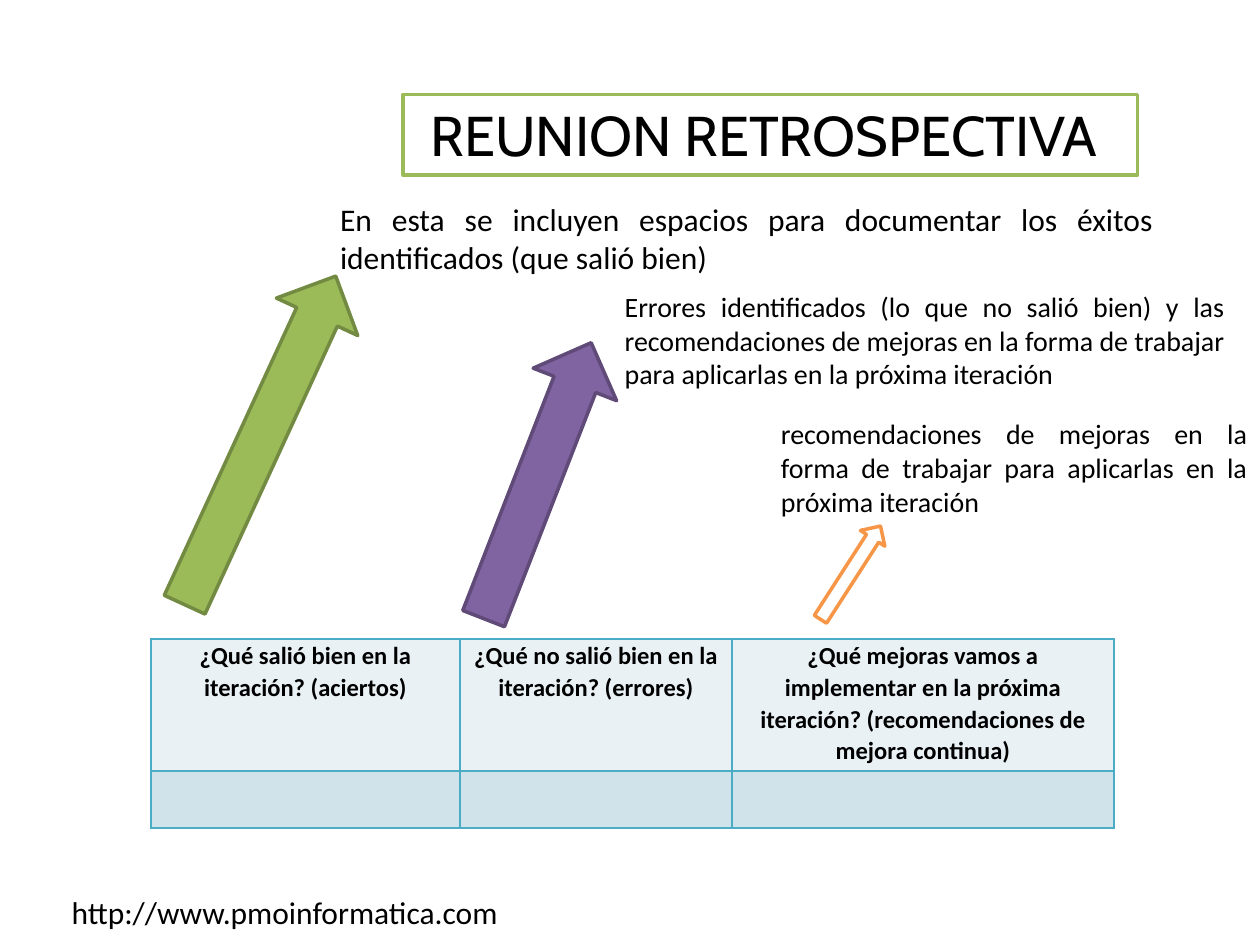
"""Builds the slide on the retrospective meeting."""
import pptx
import pptx.util
import pptx.dml.color
import pptx.enum.shapes
import pptx.enum.text
import pptx.oxml

RGB = pptx.dml.color.RGBColor
BLACK = RGB(0, 0, 0)
WHITE = RGB(255, 255, 255)
GREEN = RGB(0x9B, 0xBB, 0x59)
MOSS = RGB(0x73, 0x8A, 0x42)
PURPLE = RGB(0x80, 0x64, 0xA2)
PLUM = RGB(0x5F, 0x4A, 0x78)
ORANGE = RGB(0xF7, 0x96, 0x46)
TEAL = RGB(0x4B, 0xAC, 0xC6)
PALE = RGB(0xE9, 0xF1, 0xF5)
MIST = RGB(0xD0, 0xE3, 0xEA)
ALIGN = pptx.enum.text.PP_ALIGN
ANCHOR = pptx.enum.text.MSO_ANCHOR
Pt = pptx.util.Pt

deck = pptx.Presentation()
deck.slide_width = pptx.util.Inches(10)
deck.slide_height = pptx.util.Inches(7.5)
slide = deck.slides.add_slide(deck.slide_layouts[5])
shapes = slide.shapes


def area(left, top, width, height):
    """Turn percentages of the slide into lengths."""
    wide, high = deck.slide_width / 100, deck.slide_height / 100
    return int(left * wide), int(top * high), int(width * wide), int(height * high)


def write(frame, text, size=18, face="Calibri", bold=False, align=ALIGN.LEFT, lines=1.0):
    """Fill a text frame with one formatted paragraph."""
    frame.word_wrap = True
    frame.vertical_anchor = ANCHOR.TOP
    para = frame.paragraphs[0]
    para.alignment = align
    para.line_spacing = lines
    run = para.add_run()
    run.text = text
    run.font.size = Pt(size)
    run.font.name = face
    run.font.bold = bold
    run.font.color.rgb = BLACK


title = shapes.title
title.left, title.top, title.width, title.height = area(32, 10, 58.3, 8.53)
title.fill.solid()
title.fill.fore_color.rgb = WHITE
title.line.color.rgb = GREEN
title.line.width = Pt(2)
title.text_frame.auto_size = pptx.enum.text.MSO_AUTO_SIZE.NONE
write(title.text_frame, "REUNION RETROSPECTIVA ", size=32, face="Cabin", align=ALIGN.CENTER)

heads = [
    "¿Qué salió bien en la iteración? (aciertos)",
    "¿Qué no salió bien en la iteración? (errores)",
    "¿Qué mejoras vamos a implementar en la próxima iteración? (recomendaciones de mejora continua)",
]
table = shapes.add_table(2, 3, *area(12, 67.6, 76.4, 20)).table
for col, width in zip(table.columns, (2.45, 2.16, 3.03)):
    col.width = pptx.util.Inches(width)
for row, height, fill in zip(table.rows, (1.05, 0.45), (PALE, MIST)):
    row.height = pptx.util.Inches(height)
    for cell in row.cells:
        props = cell._tc.get_or_add_tcPr()
        for side in "LRTB":
            props.append(pptx.oxml.parse_xml(
                f'<a:ln{side} xmlns:a="http://schemas.openxmlformats.org/drawingml/2006/main" '
                f'w="{Pt(1)}"><a:solidFill><a:srgbClr val="{TEAL}"/></a:solidFill></a:ln{side}>'))
        cell.fill.solid()
        cell.fill.fore_color.rgb = fill
        cell.margin_left = cell.margin_right = pptx.util.Inches(0.07)
        cell.margin_top = cell.margin_bottom = 0
for cell, head in zip(table.rows[0].cells, heads):
    write(cell.text_frame, head, size=14, bold=True, align=ALIGN.CENTER, lines=1.07)

arrows = [
    ((6.3, 41.87, 28.7, 9.47), 294.7, GREEN, MOSS),
    ((30.9, 46.13, 23.5, 9.47), 291.3, PURPLE, PLUM),
    ((63.1, 59.07, 8.8, 3.07), 302.8, WHITE, ORANGE),
]
for place, turn, fill, edge in arrows:
    arrow = shapes.add_shape(pptx.enum.shapes.MSO_SHAPE.RIGHT_ARROW, *area(*place))
    arrow.rotation = turn
    arrow.shadow.inherit = False
    arrow.fill.solid()
    arrow.fill.fore_color.rgb = fill
    arrow.line.color.rgb = edge
    arrow.line.width = Pt(2)

notes = [
    ((26, 20.53, 66.5, 9.47), 18, ALIGN.JUSTIFY,
     "En esta se incluyen espacios para documentar los éxitos identificados (que salió bien)"),
    ((48.6, 30, 49.6, 12.13), 16, ALIGN.JUSTIFY,
     "Errores identificados (lo que no salió bien) y las recomendaciones de mejoras "
     "en la forma de trabajar para aplicarlas en la próxima iteración"),
    ((61, 43.47, 39, 12.13), 16, ALIGN.JUSTIFY,
     "recomendaciones de mejoras en la forma de trabajar para aplicarlas en la próxima iteración"),
    ((4.7, 93.87, 54.3, 5.33), 18, ALIGN.LEFT, "http://www.pmoinformatica.com"),
]
for place, size, align, text in notes:
    write(shapes.add_textbox(*area(*place)).text_frame, text, size=size, align=align)

deck.save("out.pptx")
